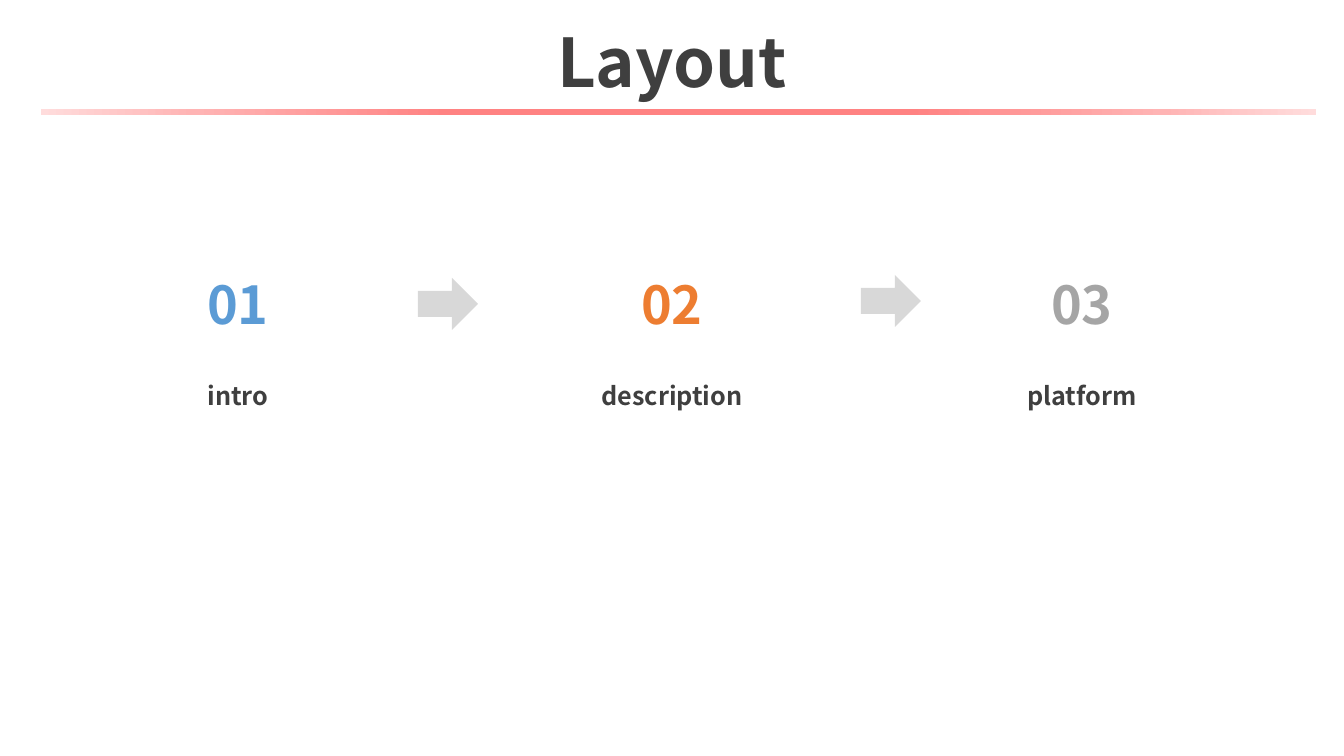
from lxml import etree
from pptx import Presentation
from pptx.dml.color import RGBColor
from pptx.enum.shapes import MSO_SHAPE
from pptx.enum.text import MSO_ANCHOR, PP_ALIGN
from pptx.oxml.ns import qn
from pptx.util import Pt

PX = 914400 / 100.8
FONT = "Noto Sans CJK KR"
DARK = "3F3F3F"
GRAY = "D8D8D8"
ARROW = MSO_SHAPE.RIGHT_ARROW
RECT = MSO_SHAPE.RECTANGLE
TOP = MSO_ANCHOR.TOP
MIDDLE = MSO_ANCHOR.MIDDLE
CENTER = PP_ALIGN.CENTER
STEPS = [
    ("01", "intro", "5B9BD5", 238),
    ("02", "description", "ED7D31", 672),
    ("03", "platform", "A5A5A5", 1082),
]
ARROWS = [(418, 278), (861, 275)]
STOPS = [(0, "FF8282"), (36, "FF8282"), (76, "FFB4B4"), (100, "FFDCDC")]


def px(*sizes):
    return [round(size * PX) for size in sizes]


def color(code):
    return RGBColor.from_string(code)


def write(shape, text, size, code, anchor=MIDDLE):
    frame = shape.text_frame
    frame.text = text
    frame.word_wrap = True
    frame.vertical_anchor = anchor
    line = frame.paragraphs[0]
    line.alignment = CENTER
    font = line.runs[0].font
    font.name = FONT
    font.size = Pt(size)
    font.bold = True
    font.color.rgb = color(code)


def add_title(slide, text):
    title = slide.shapes.title
    title.left, title.top, title.width, title.height = px(0, 4, 1344, 114)
    write(title, text, 48, DARK)


def add_text(slide, box, text, size, code, anchor=MIDDLE):
    write(slide.shapes.add_textbox(*px(*box)), text, size, code, anchor)


def add_step(slide, number, label, code, mid):
    add_text(slide, (mid - 44, 267, 88, 74), number, 37.3, code)
    add_text(slide, (mid - 130, 375, 260, 40), label, 18, DARK, TOP)


def add_shape(slide, kind, box, code):
    shape = slide.shapes.add_shape(kind, *px(*box))
    shape.shadow.inherit = False
    shape.fill.solid()
    shape.fill.fore_color.rgb = color(code)
    shape.line.fill.background()
    return shape


def add_glow(shape, stops):
    shape.fill.gradient()
    grad = shape._element.spPr.find(qn("a:gradFill"))
    for child in list(grad):
        grad.remove(child)
    rows = etree.SubElement(grad, qn("a:gsLst"))
    for pos, code in stops:
        stop = etree.SubElement(rows, qn("a:gs"), pos=str(pos * 1000))
        etree.SubElement(stop, qn("a:srgbClr"), val=code)
    form = etree.SubElement(grad, qn("a:path"), path="circle")
    sides = {side: "50000" for side in "ltrb"}
    etree.SubElement(form, qn("a:fillToRect"), sides)


def main():
    deck = Presentation()
    deck.slide_width, deck.slide_height = px(1344, 756)
    slide = deck.slides.add_slide(deck.slide_layouts[5])
    add_title(slide, "Layout")
    for step in STEPS:
        add_step(slide, *step)
    for left, top in ARROWS:
        add_shape(slide, ARROW, (left, top, 60, 52), GRAY)
    rule = add_shape(slide, RECT, (41, 109, 1275, 6), STOPS[0][1])
    add_glow(rule, STOPS)
    deck.save("out.pptx")


if __name__ == "__main__":
    main()
